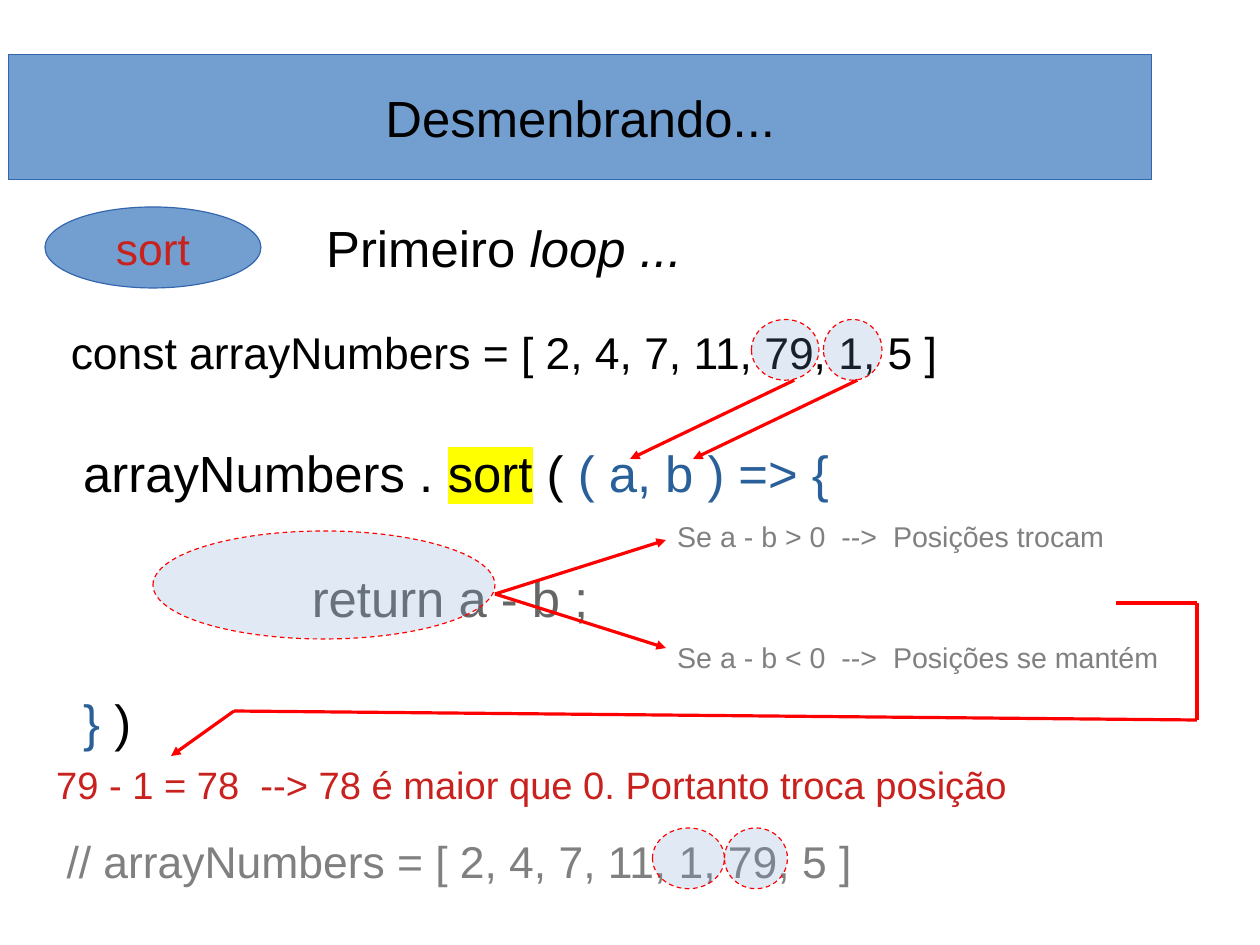
import lxml.etree
import pptx
import pptx.dml.color
import pptx.enum.dml
import pptx.enum.shapes
import pptx.enum.text
import pptx.oxml.ns
import pptx.util

Cm = pptx.util.Cm
Pt = pptx.util.Pt
RGBColor = pptx.dml.color.RGBColor
qn = pptx.oxml.ns.qn
ALIGN = pptx.enum.text.PP_ALIGN
MIDDLE = pptx.enum.text.MSO_ANCHOR.MIDDLE

BLACK = RGBColor(0x00, 0x00, 0x00)
SKY = RGBColor(0x72, 0x9F, 0xCF)
SKY_EDGE = RGBColor(0x34, 0x65, 0xAF)
CODE_BLUE = RGBColor(0x2A, 0x60, 0x99)
DARK_GRAY = RGBColor(0x66, 0x66, 0x66)
GRAY = RGBColor(0x80, 0x80, 0x80)
CRIMSON = RGBColor(0xC9, 0x21, 0x1E)
RED = RGBColor(0xFF, 0x00, 0x00)
YELLOW = RGBColor(0xFF, 0xFF, 0x00)


def style(paragraph, size, color, align=ALIGN.LEFT):
    paragraph.alignment = align
    paragraph.font.name = "Arial"
    paragraph.font.size = Pt(size)
    paragraph.font.color.rgb = color


def paint(shape, edge):
    shape.fill.solid()
    shape.fill.fore_color.rgb = SKY
    shape.line.color.rgb = edge
    shape.line.width = Pt(0)


def add_frame(slide, box, wrap=True):
    frame = slide.shapes.add_textbox(*map(Cm, box)).text_frame
    frame.word_wrap = wrap
    return frame


def add_line_of_text(slide, box, text, size, color, align=ALIGN.LEFT, wrap=True):
    sentence = add_frame(slide, box, wrap).paragraphs[0]
    sentence.text = text
    style(sentence, size, color, align)


def add_ellipse(slide, box, edge):
    ellipse = slide.shapes.add_shape(
        pptx.enum.shapes.MSO_SHAPE.OVAL, *map(Cm, box))
    ellipse.shadow.inherit = False
    paint(ellipse, edge)
    return ellipse


def add_mark(slide, box):
    mark = add_ellipse(slide, box, RED)
    mark.line.dash_style = pptx.enum.dml.MSO_LINE.DASH
    tint = mark.fill._xPr.find(qn("a:solidFill"))[0]
    lxml.etree.SubElement(tint, qn("a:alpha")).set("val", "21000")


def add_link(slide, start, end, arrow=True):
    link = slide.shapes.add_connector(
        pptx.enum.shapes.MSO_CONNECTOR.STRAIGHT, *map(Cm, start + end))
    link.line.color.rgb = RED
    link.line.width = Pt(0)
    if arrow:
        tail = lxml.etree.SubElement(link.line._get_or_add_ln(), qn("a:tailEnd"))
        tail.set("type", "triangle")
    lxml.etree.SubElement(link._element.spPr, qn("a:effectLst"))


def add_header(slide, box):
    header = slide.shapes.title
    header.left, header.top, header.width, header.height = map(Cm, box)
    paint(header, SKY_EDGE)
    frame = header.text_frame
    frame.text = "Desmenbrando..."
    frame.auto_size = pptx.enum.text.MSO_AUTO_SIZE.NONE
    frame.vertical_anchor = MIDDLE
    style(frame.paragraphs[0], 32, BLACK, ALIGN.CENTER)


def add_step(slide, box):
    left, top, width, height = box
    badge = add_ellipse(slide, (left, top, 4.8, height), SKY_EDGE)
    badge.text_frame.text = "sort"
    badge.text_frame.word_wrap = False
    badge.text_frame.vertical_anchor = MIDDLE
    style(badge.text_frame.paragraphs[0], 28, CRIMSON, ALIGN.CENTER)
    step = add_frame(slide, (left + 6, top + 0.1, width - 6, height)).paragraphs[0]
    step.add_run().text = "Primeiro "
    loop = step.add_run()
    loop.text = "loop ..."
    loop.font.italic = True
    style(step, 32, BLACK)


def add_array(slide, box, text, color, marks):
    left, top, width, height = box
    add_line_of_text(slide, box, text, 28, color, ALIGN.CENTER, wrap=False)
    for offset, mark_width in marks:
        add_mark(slide, (left + offset, top, mark_width, height))


def add_code(slide, box):
    left, top, width, height = box
    code_lines = [
        (0, [("arrayNumbers . ", BLACK, None), ("sort", BLACK, YELLOW),
             (" ( ", BLACK, None), ("( a, b ) => {", CODE_BLUE, None)]),
        (5.08, [("return a - b ;", DARK_GRAY, None)]),
        (0, [("}", CODE_BLUE, None), (" )", BLACK, None)]),
    ]
    frame = add_frame(slide, box)
    for index, (indent, pieces) in enumerate(code_lines):
        code_line = frame.add_paragraph() if index else frame.paragraphs[0]
        if index:
            code_line.space_before = Pt(40)
        code_line._p.get_or_add_pPr().set("marL", str(Cm(indent)))
        style(code_line, 32, BLACK)
        for text, color, highlight in pieces:
            piece = code_line.add_run()
            piece.text = text
            piece.font.color.rgb = color
            if highlight:
                marker = lxml.etree.SubElement(piece.font._element, qn("a:highlight"))
                lxml.etree.SubElement(marker, qn("a:srgbClr")).set("val", str(highlight))
    for argument in (12.4, 13.8):
        end = (left + argument, top + 0.5)
        add_link(slide, (end[0] + 3.65, top - 1.25), end)
    add_mark(slide, (left + 1.8, top + 2.1, 7.6, 2.4))


def add_conditions(slide, box):
    left, top, width, height = box
    outcomes = [("Se a - b > 0  -->  Posições trocam", 0, 0.6),
                ("Se a - b < 0  -->  Posições se mantém", 2.7, 3)]
    for text, text_offset, arrow_offset in outcomes:
        add_line_of_text(slide, (left, top + text_offset, width, height / 2),
                         text, 18, GRAY)
        add_link(slide, (left - 3.8, top + 1.8), (left, top + arrow_offset))


def add_conclusion(slide, box):
    left, top, width, height = box
    add_line_of_text(slide, box,
                     "79 - 1 = 78  --> 78 é maior que 0. Portanto troca posição",
                     24, CRIMSON)
    bends = [(left + x, top + y) for x, y in
             [(23.8, -3.4), (25.6, -3.4), (25.6, -0.8), (4.2, -1), (2.8, 0)]]
    for start, end in zip(bends, bends[1:]):
        add_link(slide, start, end, arrow=end == bends[-1])


def main():
    deck = pptx.Presentation()
    deck.slide_width, deck.slide_height = Cm(28), Cm(21)
    slide = deck.slides.add_slide(deck.slide_layouts[5])
    add_header(slide, (0.2, 1.2, 25.4, 2.8))
    add_step(slide, (1, 4.6, 19.2, 1.8))
    add_array(slide, (1.2, 7.1, 20, 1.35),
              "const arrayNumbers = [ 2, 4, 7, 11, 79, 1, 5 ]",
              BLACK, [(15.5, 1.5), (17.1, 1.3)])
    add_code(slide, (1.6, 9.7, 20.6, 6.6))
    add_conditions(slide, (14.8, 11.4, 11.6, 3.4))
    add_conclusion(slide, (1, 16.8, 26.6, 1.5))
    add_array(slide, (1.2, 18.4, 18, 1.35),
              "// arrayNumbers = [ 2, 4, 7, 11, 1, 79, 5 ]",
              GRAY, [(13.3, 1.6), (14.9, 1.4)])
    deck.save("out.pptx")


if __name__ == "__main__":
    main()
